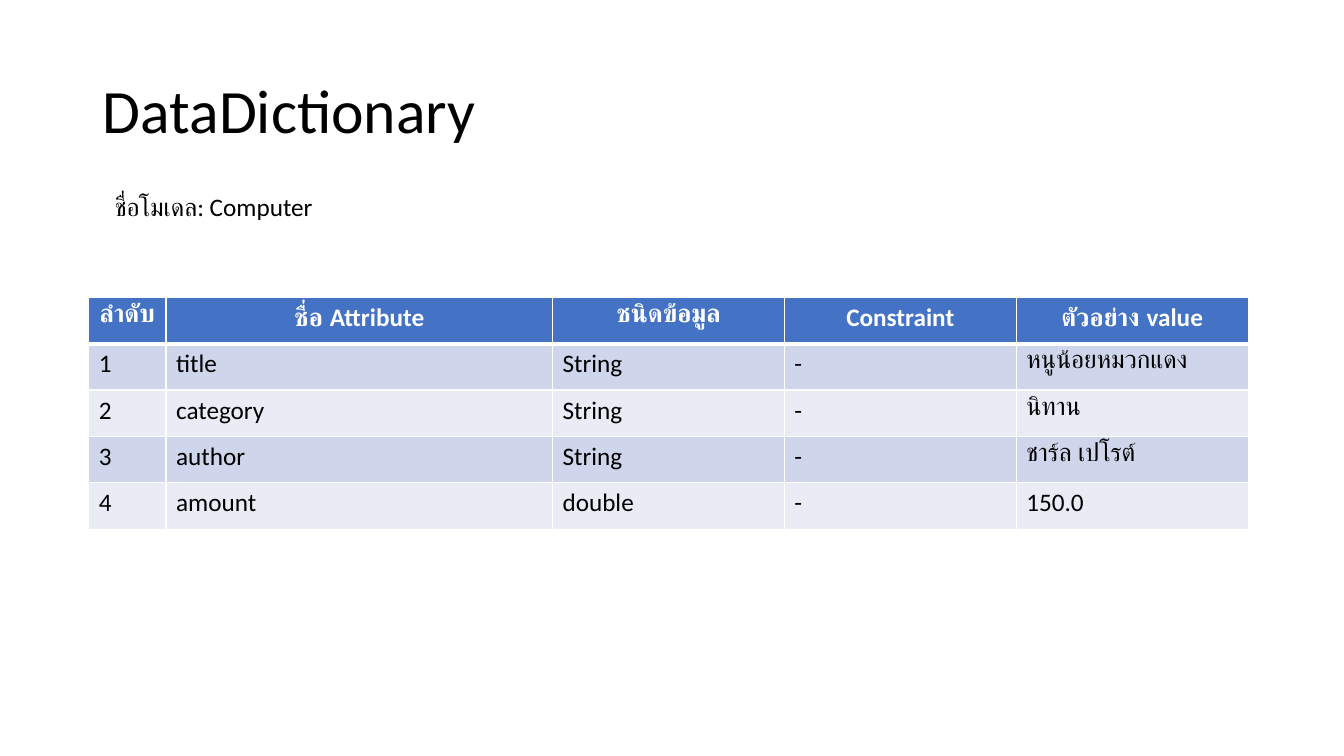
from dataclasses import dataclass

from lxml import etree
from pptx import Presentation
from pptx import util as u
from pptx.dml.color import RGBColor
from pptx.enum import text
from pptx.oxml import ns


@dataclass
class Theme:
    font: str = "Calibri"
    title: int = 44
    body: int = 18
    black: str = "000000"
    white: str = "FFFFFF"
    header: str = "4472C4"
    bands: tuple = ("CFD5EA", "E9EBF5")
    rule: int = 1
    header_rule: int = 3


theme = Theme()


def style(p, size, color, bold=False, align=text.PP_ALIGN.LEFT):
    p.alignment = align
    p.font.name = theme.font
    p.font.size = u.Pt(size)
    p.font.bold = bold
    p.font.color.rgb = RGBColor.from_string(color)


def border(cell, side, width):
    tcPr = cell._tc.get_or_add_tcPr()
    ln = etree.SubElement(tcPr, ns.qn(f"a:ln{side}"), w=str(u.Pt(width)))
    fill = etree.SubElement(ln, ns.qn("a:solidFill"))
    etree.SubElement(fill, ns.qn("a:srgbClr"), val=theme.white)


prs = Presentation()
prs.slide_width, prs.slide_height = u.Inches(13.33), u.Inches(7.5)
s = prs.slides.add_slide(prs.slide_layouts[5])

title = s.shapes.title
title.left, title.top = u.Inches(0.92), u.Inches(0.4)
title.width, title.height = u.Inches(11.5), u.Inches(1.45)
tf = title.text_frame
tf.text = "DataDictionary"
tf.vertical_anchor = text.MSO_ANCHOR.MIDDLE
p = tf.paragraphs[0]
p.line_spacing = 0.9
style(p, theme.title, theme.black)

rows = [
    ("ลำดับ", "ชื่อ Attribute", "ชนิดข้อมูล", "Constraint", "ตัวอย่าง value"),
    ("1", "title", "String", "-", "หนูน้อยหมวกแดง"),
    ("2", "category", "String", "-", "นิทาน"),
    ("3", "author", "String", "-", "ชาร์ล เปโรต์"),
    ("4", "amount", "double", "-", "150.0"),
]
column_shares = (1, 5, 3, 3, 3)
table_width, row_height = u.Inches(11.5), u.Inches(0.46)
table = s.shapes.add_table(
    len(rows), len(column_shares),
    u.Inches(0.88), u.Inches(2.95), table_width, row_height * len(rows),
).table
for column, share in zip(table.columns, column_shares):
    column.width = table_width * share // sum(column_shares)

for i, row in enumerate(rows):
    table.rows[i].height = row_height
    is_header = i == 0
    for j, value in enumerate(row):
        cell = table.cell(i, j)
        cell.text = value
        p = cell.text_frame.paragraphs[0]
        if is_header:
            style(p, theme.body, theme.white, True, text.PP_ALIGN.CENTER)
        else:
            style(p, theme.body, theme.black)
        border(cell, "L", theme.rule)
        border(cell, "R", theme.rule)
        border(cell, "T", theme.header_rule if i == 1 else theme.rule)
        border(cell, "B", theme.header_rule if is_header else theme.rule)
        cell.fill.solid()
        color = theme.header if is_header else theme.bands[(i - 1) % 2]
        cell.fill.fore_color.rgb = RGBColor.from_string(color)

model_name = s.shapes.add_textbox(
    u.Inches(1.04), u.Inches(1.85), u.Inches(4.09), u.Inches(0.4))
tf = model_name.text_frame
tf.word_wrap = True
tf.auto_size = text.MSO_AUTO_SIZE.SHAPE_TO_FIT_TEXT
tf.text = "ชื่อโมเดล: Computer"
style(tf.paragraphs[0], theme.body, theme.black)

prs.save("out.pptx")
